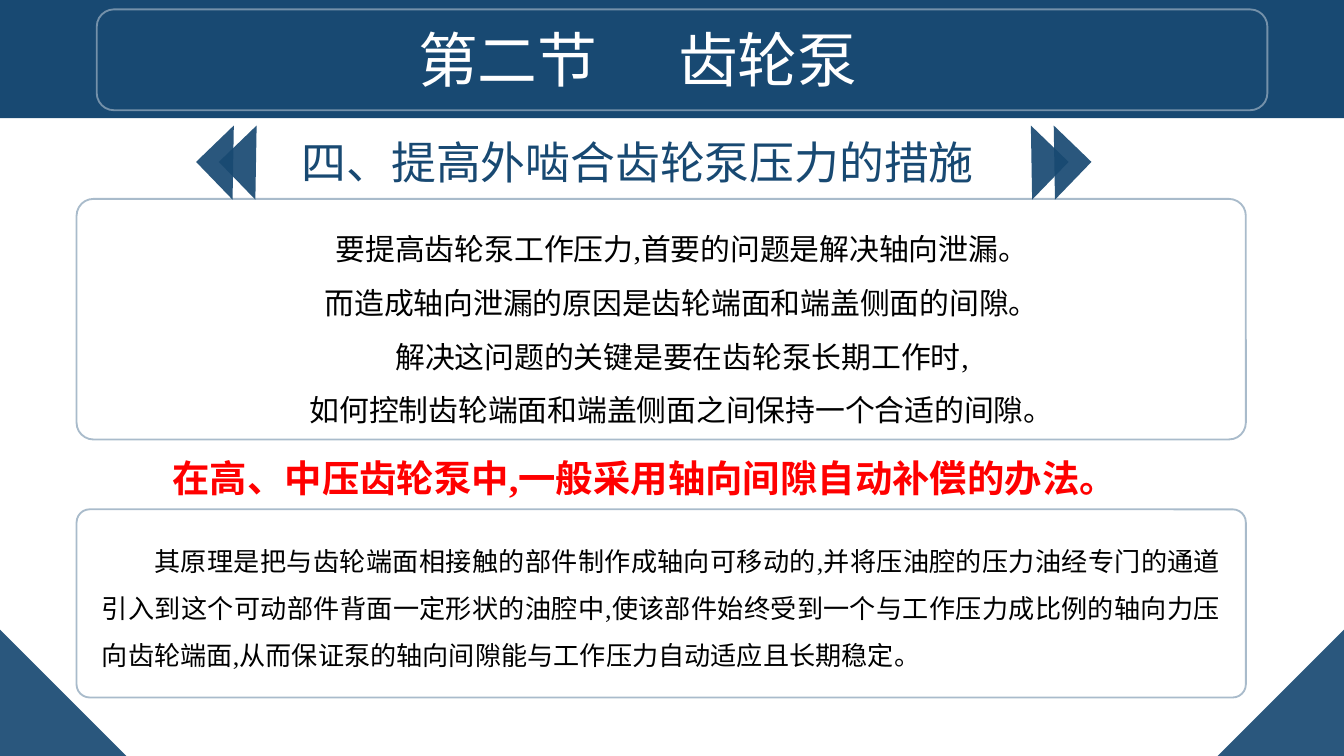
from dataclasses import dataclass
from typing import NamedTuple, Optional

from lxml.etree import SubElement
from pptx import Presentation
from pptx.dml.color import RGBColor
from pptx.enum.shapes import MSO_SHAPE as Preset
from pptx.enum.text import MSO_AUTO_SIZE as AutoSize, PP_ALIGN as Align
from pptx.oxml.ns import qn
from pptx.util import Inches, Pt

# The slide is a 16:9 grid of 100 columns by 56.25 rows
COLUMNS, ROWS = 100, 56.25
CELL = Inches(0.1)


@dataclass(frozen=True)
class Theme:
    font: str = "Times New Roman"
    navy: str = "184972"
    white: str = "FFFFFF"
    black: str = "000000"
    red: str = "FF0000"
    title: int = 32
    heading: int = 24
    emphasis: int = 20
    body: int = 16
    detail: int = 14
    triangle_alpha: int = 92
    outline: float = 1


THEME = Theme()


class Area(NamedTuple):
    column: float
    row: float
    columns: float
    rows: float

    def lengths(self) -> list[int]:
        return [round(value * CELL) for value in self]


class Span(NamedTuple):
    text: str
    spacing: float = 0


class Frame(NamedTuple):
    area: Area
    color: str
    alpha: int
    corner: float


class Triangle(NamedTuple):
    area: Area
    rotation: int
    mirrored: bool = False


class TextBlock(NamedTuple):
    area: Area
    lines: list[list[Span]]
    size: int
    color: str
    align: Align = Align.CENTER
    bold: Optional[bool] = None
    spacing: Optional[float] = None
    indent: float = 0


def set_alpha(properties, percent: int) -> None:
    color = next(properties.iter(qn("a:srgbClr")))
    SubElement(color, qn("a:alpha")).set("val", str(percent * 1000))


def add_preset(page, preset: Preset, area: Area, fill: Optional[str] = None):
    shape = page.shapes.add_shape(preset, *area.lengths())
    shape.shadow.inherit = False
    shape.line.fill.background()
    if fill:
        shape.fill.solid()
        shape.fill.fore_color.rgb = RGBColor.from_string(fill)
    else:
        shape.fill.background()
    return shape


def add_frame(page, frame: Frame) -> None:
    shape = add_preset(page, Preset.ROUNDED_RECTANGLE, frame.area)
    shape.adjustments[0] = frame.corner
    shape.line.width = Pt(THEME.outline)
    shape.line.color.rgb = RGBColor.from_string(frame.color)
    set_alpha(shape.line._ln, frame.alpha)


def add_triangle(page, triangle: Triangle) -> None:
    shape = add_preset(page, Preset.RIGHT_TRIANGLE, triangle.area, THEME.navy)
    shape.rotation = triangle.rotation
    properties = shape._element.spPr
    set_alpha(properties, THEME.triangle_alpha)
    transform = properties.find(qn("a:xfrm"))
    transform.set("flipV", "1")
    if triangle.mirrored:
        transform.set("flipH", "1")


def add_text(page, block: TextBlock) -> None:
    box = page.shapes.add_textbox(*block.area.lengths())
    frame = box.text_frame
    frame.word_wrap = True
    frame.auto_size = AutoSize.SHAPE_TO_FIT_TEXT
    for index, line in enumerate(block.lines):
        para = frame.add_paragraph() if index else frame.paragraphs[0]
        para.alignment = block.align
        para.line_spacing = block.spacing
        if block.indent:
            properties = para._p.get_or_add_pPr()
            properties.set("marL", "0")
            properties.set("indent", str(round(block.indent * CELL)))
        for span in line:
            run = para.add_run()
            run.text = span.text
            run.font.name = THEME.font
            run.font.size = Pt(block.size)
            run.font.bold = block.bold
            run.font.color.rgb = RGBColor.from_string(block.color)
            if span.spacing:
                run._r.get_or_add_rPr().set("spc", str(round(span.spacing * 100)))


# Corner triangles at the foot, then the double arrows beside the heading
CORNER, ARROW, ARROW_STEP, ARROW_ROW = 9.4, 3.9, 1.7, 10.15
TRIANGLES = [
    Triangle(Area(column, ROWS - CORNER, CORNER, CORNER), rotation)
    for column, rotation in ((0, 270), (COLUMNS - CORNER, 180))
] + [
    Triangle(Area(start + step * ARROW_STEP, ARROW_ROW, ARROW, ARROW), rotation, mirrored)
    for start, rotation, mirrored in ((15.4, 316, False), (74.8, 44, True))
    for step in range(2)
]

TITLE_FRAME = Frame(Area(7.2, 0.7, 87.1, 7.5), THEME.white, 40, 0.17)
BODY_FRAMES = [
    Frame(Area(5.7, row, 87, rows), THEME.navy, 36, 0.07)
    for row, rows in ((14.8, 17.9), (37.9, 14))
]

TEXTS = [
    TextBlock(Area(16.25, 9.5, 62.4, 5), [[Span("四、提高外啮合齿轮泵压力的措施")]],
              THEME.heading, THEME.navy),
    TextBlock(Area(5.7, 1.2, 83.5, 6.4),
              [[Span("第二节"), Span(" ", 36), Span("齿轮泵")]],
              THEME.title, THEME.white),
    TextBlock(Area(0.4, 15.35, 100.7, 17.2), [
        [Span("要提高齿轮泵工作压力,首要的问题是解决轴向泄漏。")],
        [Span("而造成轴向泄漏的原因是齿轮端面和端盖侧面的间隙。")],
        [Span("解决这问题的关键是要在齿轮泵长期工作时,")],
        [Span("如何控制齿轮端面和端盖侧面之间保持一个合适的间隙。")],
    ], THEME.body, THEME.black, spacing=1.5),
    TextBlock(Area(11.85, 33.4, 71.2, 4.4),
              [[Span("在高、中压齿轮泵中,一般采用轴向间隙自动补偿的办法。")]],
              THEME.emphasis, THEME.red, Align.LEFT, bold=True),
    TextBlock(Area(6.6, 38.95, 85.2, 11.6), [[Span(
        "其原理是把与齿轮端面相接触的部件制作成轴向可移动的,"
        "并将压油腔的压力油经专门的通道引入到这个可动部件背面一定形状的油腔中,"
        "使该部件始终受到一个与工作压力成比例的轴向力压向齿轮端面,"
        "从而保证泵的轴向间隙能与工作压力自动适应且长期稳定。")]],
        THEME.detail, THEME.black, Align.JUSTIFY, spacing=1.5, indent=3.9),
]


def main() -> None:
    deck = Presentation()
    deck.slide_width = round(COLUMNS * CELL)
    deck.slide_height = round(ROWS * CELL)
    page = deck.slides.add_slide(deck.slide_layouts[6])

    # Title band
    add_preset(page, Preset.RECTANGLE, Area(0, 0, COLUMNS, 8.8), THEME.navy)
    add_frame(page, TITLE_FRAME)

    # Decoration, wording and the frames around it
    for triangle in TRIANGLES:
        add_triangle(page, triangle)
    for block in TEXTS:
        add_text(page, block)
    for frame in BODY_FRAMES:
        add_frame(page, frame)

    deck.save("out.pptx")


if __name__ == "__main__":
    main()
